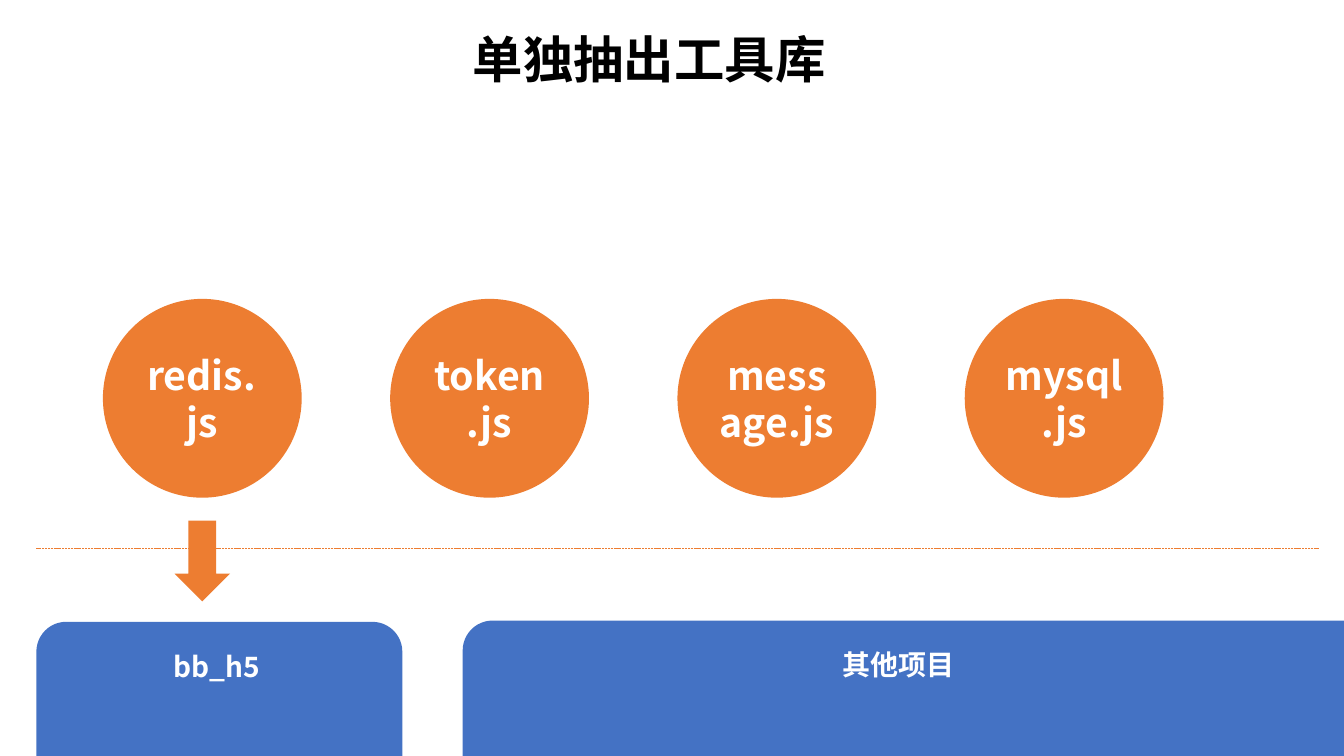
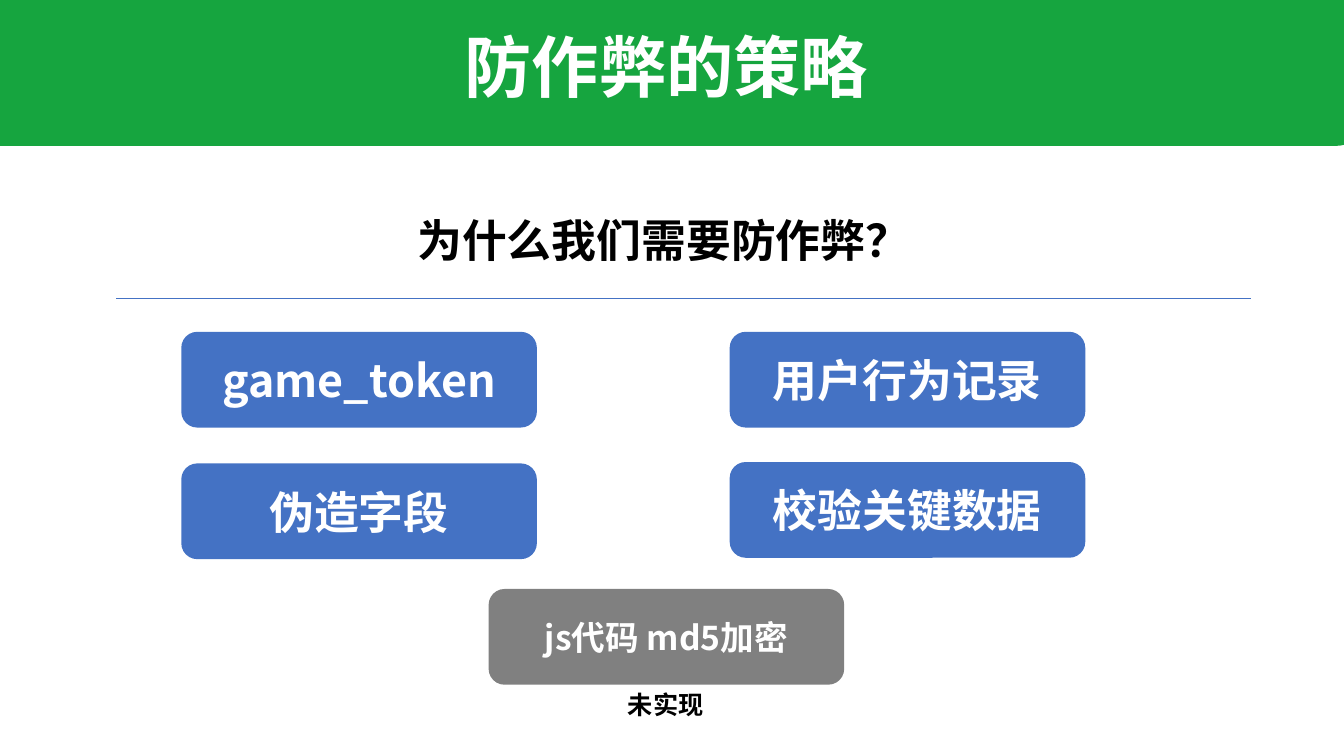
from pptx import Presentation
from pptx.dml.color import RGBColor
from pptx.enum.dml import MSO_LINE
from pptx.enum.shapes import MSO_CONNECTOR, MSO_SHAPE as SHP
from pptx.enum.text import MSO_ANCHOR as ANC, PP_ALIGN as AL
from pptx.oxml.ns import qn
from pptx.util import Pt
from lxml.etree import SubElement

FONT = "Noto Sans CJK SC"
BLUE, ORANGE, GREEN, GRAY = "4472C4", "ED7D31", "16A53F", "808080"
BLACK, WHITE = "000000", "FFFFFF"


def rgb(value):
    """Turn a hex string into a colour."""
    return RGBColor.from_string(value)


def write(tf, text, size=32, color=WHITE, align=AL.CENTER, anchor=ANC.MIDDLE, wrap=True):
    """Put one bold paragraph into a text frame."""
    tf.word_wrap = wrap
    tf.vertical_anchor = anchor
    p = tf.paragraphs[0]
    p.alignment = align
    p.line_spacing = 1.0
    r = p.add_run()
    r.text = text
    r.font.name, r.font.size, r.font.bold = FONT, Pt(size), True
    r.font.color.rgb = rgb(color)
    SubElement(r.font._element, qn("a:ea")).set("typeface", FONT)


class Deck:
    """Hold the presentation, its style and the current slide."""

    def __init__(self):
        """Start a wide presentation."""
        self.prs = Presentation()
        self.prs.slide_width, self.prs.slide_height = Pt(960), Pt(540)
        self.s = None

    def slide(self):
        """Start a title-only slide."""
        self.s = self.prs.slides.add_slide(self.prs.slide_layouts[5])

    def title(self, text, x, y, w, h, **fmt):
        """Place the title in front of what is already drawn."""
        sp = self.s.shapes.title
        sp.left, sp.top, sp.width, sp.height = Pt(x), Pt(y), Pt(w), Pt(h)
        write(sp.text_frame, text, **fmt)
        sp.element.getparent().append(sp.element)

    def shape(self, kind, x, y, w, h, fill, text=None, **fmt):
        """Draw a flat preset shape with optional text."""
        sp = self.s.shapes.add_shape(kind, Pt(x), Pt(y), Pt(w), Pt(h))
        sp.shadow.inherit = False
        sp.fill.solid()
        sp.fill.fore_color.rgb = rgb(fill)
        sp.line.fill.background()
        if text:
            write(sp.text_frame, text, **fmt)

    def label(self, text, x, y, w, h, **fmt):
        """Write left-aligned text on a single line."""
        sp = self.s.shapes.add_textbox(Pt(x), Pt(y), Pt(w), Pt(h))
        write(sp.text_frame, text, align=AL.LEFT, anchor=ANC.TOP, wrap=False, **fmt)

    def rule(self, x1, x2, y, color, dash=None):
        """Draw a thin horizontal line."""
        c = self.s.shapes.add_connector(MSO_CONNECTOR.STRAIGHT, Pt(x1), Pt(y), Pt(x2), Pt(y))
        c.line.width = Pt(0.5)
        c.line.color.rgb = rgb(color)
        if dash:
            c.line.dash_style = dash
        SubElement(c.element.spPr, qn("a:effectLst"))


def tool_library(d):
    """Build the slide on the shared tool library."""
    d.slide()
    d.title("单独抽出工具库", 330.5, 16.5, 519, 51, size=36, color=BLACK,
            align=AL.LEFT, anchor=ANC.TOP)
    for i, name in enumerate(["redis.js", "token.js", "message.js", "mysql.js"]):
        d.shape(SHP.OVAL, 73.5 + 205.2 * i, 213.5, 142, 142, ORANGE, name, size=28)
    d.rule(26, 942, 391.7, ORANGE, MSO_LINE.SQUARE_DOT)
    d.shape(SHP.DOWN_ARROW, 124.7, 372, 39.6, 57.6, ORANGE)
    projects = [("bb_h5", 26, 444.2, 261.4, 116.6), ("其他项目", 330.5, 443.3, 674, 594.7)]
    for name, x, y, w, text_x in projects:
        d.shape(SHP.ROUNDED_RECTANGLE, x, y, w, 128, BLUE)
        d.label(name, text_x, y + 16, 100, 32, size=20)


def anti_cheating(d):
    """Build the slide on strategies against cheating."""
    d.slide()
    d.shape(SHP.ROUNDED_RECTANGLE, -22, -11, 996, 115.2, GREEN)
    d.title("防作弊的策略", -22, -11, 996, 115.2, size=48)
    d.label("为什么我们需要防作弊？", 291, 148.3, 370, 46, color=BLACK)
    d.rule(83, 893.5, 213, BLUE)
    strategies = [
        ("game_token", 129.5, 237, BLUE, 32),
        ("用户行为记录", 521.2, 237, BLUE, 32),
        ("伪造字段", 129.5, 331, BLUE, 32),
        ("校验关键数据", 521.2, 330, BLUE, 32),
        ("js代码 md5加密", 349, 420.7, GRAY, 24),
    ]
    for text, x, y, fill, size in strategies:
        d.shape(SHP.ROUNDED_RECTANGLE, x, y, 254, 68.4, fill, text, size=size)
    d.label("未实现", 441.4, 489, 69, 29, size=18, color=BLACK)


def main():
    """Build and save the deck."""
    d = Deck()
    tool_library(d)
    anti_cheating(d)
    d.prs.save("out.pptx")


if __name__ == "__main__":
    main()
